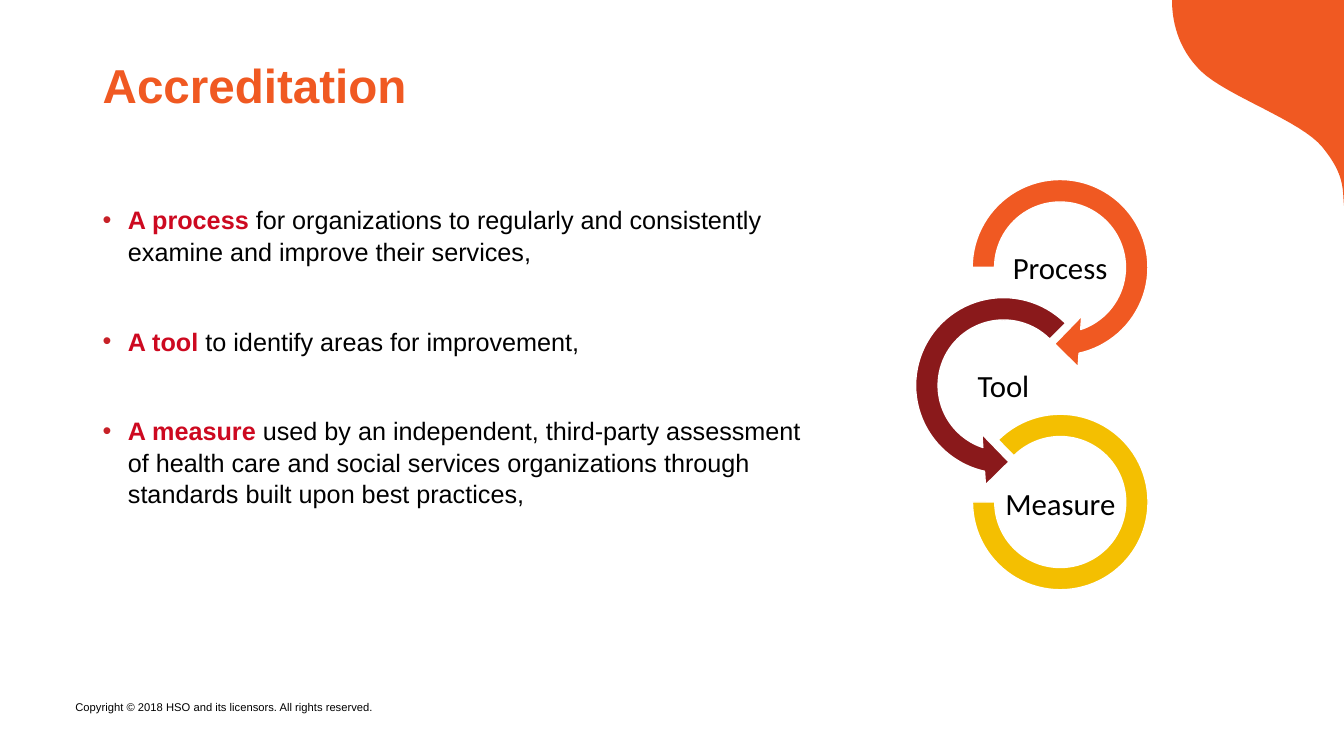
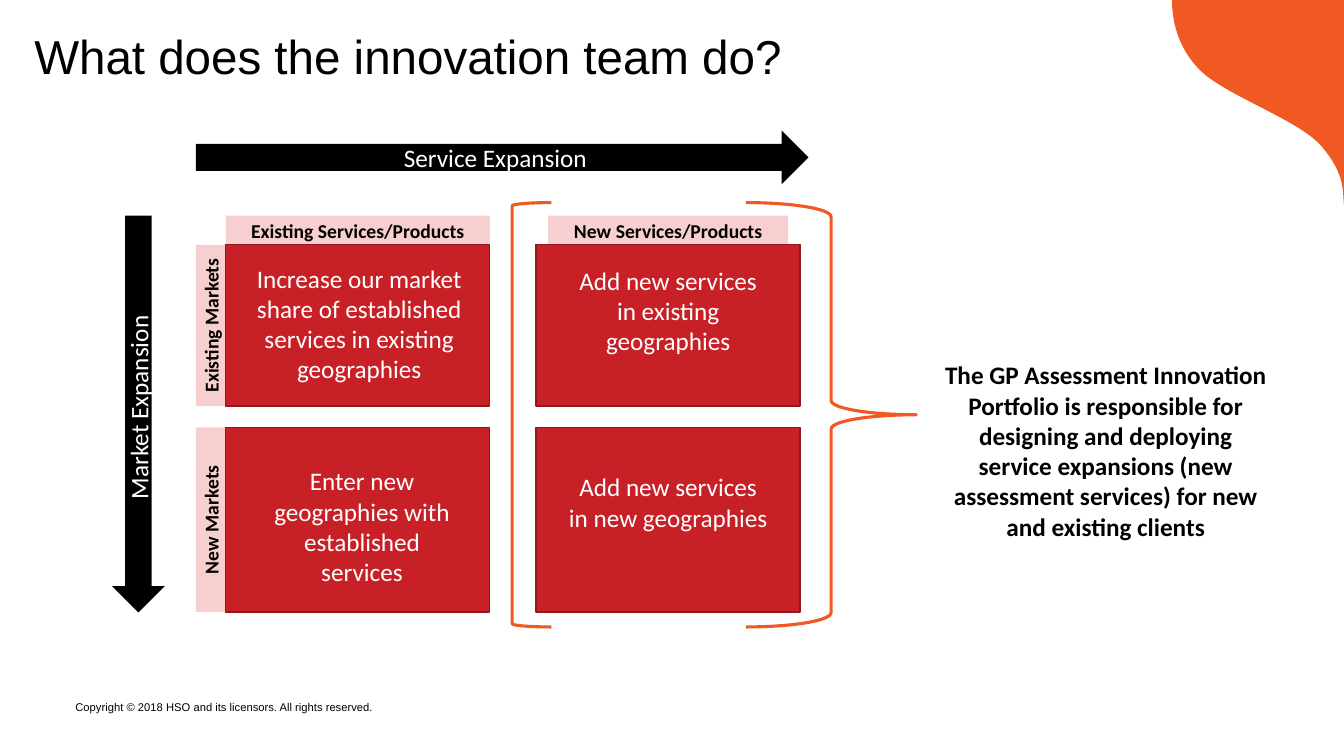
import pptx
import pptx.dml.color
import pptx.enum.shapes
import pptx.enum.text
import pptx.oxml
import pptx.oxml.ns
import pptx.util

Pt = pptx.util.Pt
SHAPE = pptx.enum.shapes.MSO_SHAPE
ALIGN = pptx.enum.text.PP_ALIGN
ANCHOR = pptx.enum.text.MSO_ANCHOR

ORANGE, RED, MAROON, YELLOW = "F05922", "C72127", "8A191B", "F4BF01"
PINK, EDGE, ACCENT = "F7CFD1", "93181D", "CD0920"
BLACK, WHITE = "000000", "FFFFFF"
CORNER_START = [(837.2, 0), (960, 0), (960, 146.8)]
CORNER_CURVES = [
    [(959, 134.6), (960.5, 124.6), (944.6, 105.1)],
    [(929.5, 86.4), (876.2, 68.4), (858.2, 51.1)],
    [(840.2, 33.8), (837.2, 13), (837.2, 0)],
]


def rgb(color):
    """Return the colour for a hex string."""
    return pptx.dml.color.RGBColor.from_string(color)


def add_run(p, text, size, color, font="Calibri", bold=False):
    """Append one formatted run to a paragraph."""
    r = p.add_run()
    r.text = text
    r.font.size, r.font.name, r.font.bold = Pt(size), font, bold
    r.font.color.rgb = rgb(color)


def set_frame(tf, insets=(7.2, 3.6, 7.2, 3.6), anchor=ANCHOR.TOP, wrap=True):
    """Set the insets, anchor and wrapping of a text frame."""
    tf.auto_size = pptx.enum.text.MSO_AUTO_SIZE.NONE
    tf.word_wrap, tf.vertical_anchor = wrap, anchor
    tf.margin_left, tf.margin_top, tf.margin_right, tf.margin_bottom = map(Pt, insets)


def place(sp, x, y, w, h):
    """Move and size a shape in points."""
    sp.left, sp.top, sp.width, sp.height = Pt(x), Pt(y), Pt(w), Pt(h)


def paint(sp, fill=None, line=None, weight=1):
    """Set fill and outline and remove the shadow."""
    sp.shadow.inherit = False
    if fill:
        sp.fill.solid()
        sp.fill.fore_color.rgb = rgb(fill)
    else:
        sp.fill.background()
    if line:
        sp.line.color.rgb = rgb(line)
        sp.line.width = Pt(weight)
    else:
        sp.line.fill.background()


def add_shape(s, kind, box, fill=None, line=None, weight=1, adjustments=()):
    """Add a painted preset shape."""
    sp = s.shapes.add_shape(kind, *map(Pt, box))
    paint(sp, fill, line, weight)
    for i, value in enumerate(adjustments):
        sp.adjustments[i] = value
    return sp


def write_center(sp, text, size, color=BLACK, bold=False, **frame):
    """Write one centred paragraph into a shape."""
    set_frame(sp.text_frame, **frame)
    p = sp.text_frame.paragraphs[0]
    p.alignment = ALIGN.CENTER
    add_run(p, text, size, color, bold=bold)


def add_label(s, kind, box, text, size, fill, color=BLACK, bold=False, rotation=0):
    """Add a filled shape with a middle-anchored label."""
    sp = add_shape(s, kind, box, fill)
    sp.rotation = rotation
    write_center(sp, text, size, color, bold, insets=(0, 0, 0, 0), anchor=ANCHOR.MIDDLE)
    return sp


def add_corner(s):
    """Draw the curved corner band."""
    points = list(CORNER_START)
    for a, b, c in CORNER_CURVES:
        start = points[-1]
        for step in range(1, 17):
            t = step / 16
            u = 1 - t
            points.append(tuple(
                u**3 * start[i] + 3 * u * u * t * a[i] + 3 * u * t * t * b[i] + t**3 * c[i]
                for i in (0, 1)))
    points = [(Pt(x), Pt(y)) for x, y in points]
    builder = s.shapes.build_freeform(*points[0])
    builder.add_line_segments(points[1:], close=True)
    paint(builder.convert_to_shape(), ORANGE)


def add_slide(prs, layout, title, x, y, color, bold):
    """Add a slide with its title, corner band and footer."""
    s = prs.slides.add_slide(prs.slide_layouts[layout])
    add_corner(s)
    sp = s.shapes.add_textbox(*map(Pt, (46.8, 496.8, 230, 17.3)))
    set_frame(sp.text_frame, wrap=False)
    add_run(sp.text_frame.paragraphs[0],
            "Copyright © 2018 HSO and its licensors. All rights reserved.", 8, BLACK, "Arial")
    sp = s.shapes.title
    place(sp, x, y, 828, 45.4)
    set_frame(sp.text_frame, anchor=ANCHOR.BOTTOM)
    p = sp.text_frame.paragraphs[0]
    p.alignment, p.line_spacing = ALIGN.LEFT, 0.9
    add_run(p, title, 34, color, "Arial", bold)
    return s


def set_bullet(p, color):
    """Give a paragraph a coloured, hanging bullet."""
    pPr = p._p.get_or_add_pPr()
    pPr.set("marL", str(Pt(18)))
    pPr.set("indent", str(-Pt(18)))
    ns = pptx.oxml.ns.nsdecls("a")
    for xml in (f'<a:buClr {ns}><a:srgbClr val="{color}"/></a:buClr>',
                f'<a:buFont {ns} typeface="Arial"/>',
                f'<a:buChar {ns} char="•"/>'):
        pPr.append(pptx.oxml.parse_xml(xml))


def add_bullets(s, items):
    """Fill the body placeholder with bold-led bullets."""
    sp = s.placeholders[1]
    place(sp, 66.2, 141.8, 515.5, 342)
    tf = sp.text_frame
    set_frame(tf)
    for i, (lead, rest) in enumerate(items):
        p = tf.add_paragraph() if i else tf.paragraphs[0]
        set_bullet(p, RED)
        p.line_spacing = 1.04
        p.space_before = Pt(41.6 if i else 0)
        add_run(p, lead, 18, ACCENT, "Arial", True)
        add_run(p, rest, 18, BLACK, "Arial")


def add_cycle(s):
    """Draw the chain of three circular arrows with labels."""
    top, step = 118, 84.3
    links = [
        ("Process", SHAPE.CIRCULAR_ARROW, 757.2, 146, ORANGE, (0.11, 11.42, 45, 108, 0.125)),
        ("Tool", SHAPE.LEFT_CIRCULAR_ARROW, 716.8, 146, MAROON, (0.11, 11.42, 63, 189, 0.125)),
        ("Measure", SHAPE.BLOCK_ARC, 757.4, 125.4, YELLOW, (135, 108, 0.127)),
    ]
    for i, (text, kind, center, size, fill, adjustments) in enumerate(links):
        middle = top + 73 + i * step
        arc_middle = middle - (0 if i < 2 else 1)
        add_shape(s, kind, (center - size / 2, arc_middle - size / 2, size, size),
                  fill, WHITE, 1, adjustments)
        sp = s.shapes.add_textbox(*map(Pt, (center - 40.7, middle - 20, 81.4, 40)))
        write_center(sp, text, 22, insets=(1.4, 1.4, 1.4, 1.4), anchor=ANCHOR.MIDDLE, wrap=False)


def add_matrix(s):
    """Draw the market and service matrix with its headings."""
    columns = [(161.3, "Existing Services/Products", 188.6),
               (383, "New Services/Products", 171.4)]
    rows = [(174.8, 115.2, "Existing Markets"), (305.3, 131.8, "New Markets")]
    cells = [
        [("Increase our market share of established services in existing geographies", 9, 7, 13),
         ("Add new services in existing geographies", 22, 22, 14.4)],
        [("Enter new geographies with established services", 26, 20, 27.4),
         ("Add new services in new geographies", 22, 22, 31.7)],
    ]
    width, band = 188.6, 21.4
    for x, text, w in columns:
        add_label(s, SHAPE.RECTANGLE, (x + (width - w) / 2, 154, w, band), text, 14, PINK, bold=True)
    for (y, h, heading), row in zip(rows, cells):
        center_x, center_y = columns[0][0] - band / 2, y + h / 2
        add_label(s, SHAPE.RECTANGLE, (center_x - h / 2, center_y - band / 2, h, band),
                  heading, 14, PINK, bold=True, rotation=270)
        for (x, _, _), (text, left, right, inset) in zip(columns, row):
            sp = add_shape(s, SHAPE.RECTANGLE, (x, y, width, h), RED, EDGE)
            write_center(sp, text, 18, WHITE, insets=(left, inset, right, 0))


def add_axes(s):
    """Draw the two black expansion arrows."""
    add_label(s, SHAPE.RIGHT_ARROW, (139.9, 93.2, 437.6, 38.5),
              "Service Expansion", 18, BLACK, WHITE)
    sp = add_label(s, SHAPE.DOWN_ARROW, (80, 154, 37.8, 283.5),
                   "Market Expansion", 18, BLACK, WHITE)
    sp.text_frame._txBody.bodyPr.set("vert", "vert270")


def build_accreditation(prs):
    """Build the slide on what accreditation is."""
    s = add_slide(prs, 1, "Accreditation", 66.2, 39.6, ORANGE, True)
    add_bullets(s, [
        ("A process ", "for organizations to regularly and consistently examine and improve "
                       "their services,"),
        ("A tool ", "to identify areas for improvement,"),
        ("A measure ", "used by an independent, third-party assessment of health care and "
                       "social services organizations through standards built upon best practices,"),
    ])
    add_cycle(s)


def build_innovation(prs):
    """Build the slide on the innovation team."""
    s = add_slide(prs, 5, "What does the innovation team do?", 17.3, 18.7, BLACK, False)
    add_axes(s)
    add_matrix(s)
    for kind, x, w in ((SHAPE.RIGHT_BRACE, 532.8, 121.7), (SHAPE.LEFT_BRACKET, 365.8, 28)):
        add_shape(s, kind, (x, 144.7, w, 303.1), line=ORANGE, weight=2.25)
    sp = s.shapes.add_textbox(*map(Pt, (666, 253.4, 247.7, 138)))
    write_center(sp, "The GP Assessment Innovation Portfolio is responsible for designing and "
                     "deploying service expansions (new assessment services) for new and "
                     "existing clients", 18, bold=True)


def main():
    """Build and save the presentation."""
    prs = pptx.Presentation()
    prs.slide_width, prs.slide_height = Pt(960), Pt(540)
    build_accreditation(prs)
    build_innovation(prs)
    prs.save("out.pptx")


if __name__ == "__main__":
    main()
